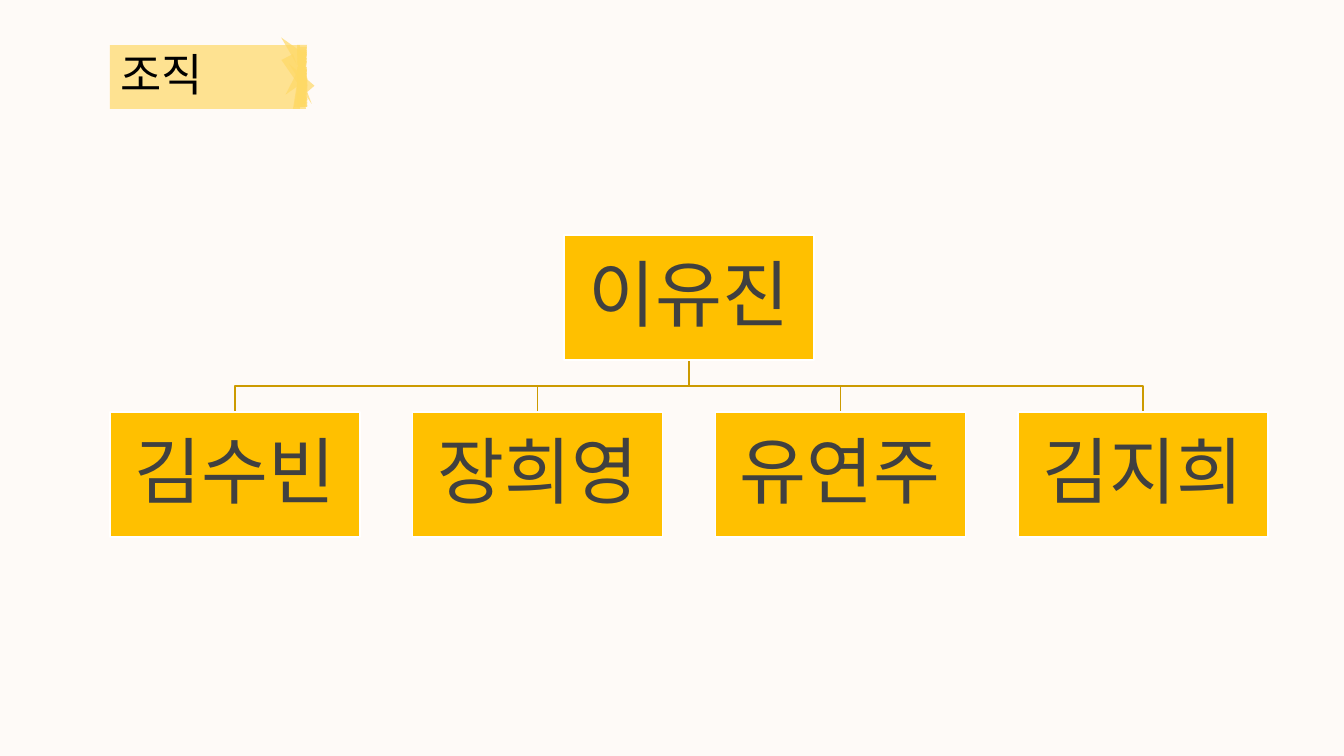
from dataclasses import dataclass

from lxml import etree
from pptx import Presentation
from pptx.dml.color import RGBColor
from pptx.enum.shapes import MSO_SHAPE
from pptx.enum.text import MSO_ANCHOR, PP_ALIGN
from pptx.oxml.ns import qn
from pptx.util import Pt

RECT = MSO_SHAPE.RECTANGLE
TRIANGLE = MSO_SHAPE.ISOSCELES_TRIANGLE
MIDDLE = MSO_ANCHOR.MIDDLE
LEFT, CENTER = PP_ALIGN.LEFT, PP_ALIGN.CENTER
PX = 12192000 / 1344


@dataclass(frozen=True)
class Theme:
    """Colours, fonts and type sizes of the slide."""
    background: str = "FEFAF7"
    brush: str = "FFD966"
    brush_alpha: int = 70
    node: str = "FFC000"
    node_line: str = "FFFFFF"
    node_text: str = "404040"
    branch: str = "CC9A00"
    title_text: str = "000000"
    title_font: str = "Cabin"
    korean_font: str = "Noto Sans CJK KR"
    title_size: int = 32
    node_size: int = 52


THEME = Theme()
LEADER = "이유진"
MEMBERS = ["김수빈", "장희영", "유연주", "김지희"]

BRISTLES = [
    (184, 21, 13, 41, 0), (183, 23, 13, 41, 0), (183, 9, 13, 53, 152.4),
    (164, 5, 48, 11, 59.9), (185, 15, 10, 33, 319.2), (169, 28, 42, 11, 117.2),
]
BRISTLES += [(186, y, 10, 33, 354.4)
             for y in (29, 23, 26, 22, 17, 13, 11, 9, 8, 6, 4, 2)]
BRISTLES += [(187, y, 10, 33, 180)
             for y in (0, 2, 5, 7, 9, 13, 16, 22, 24, 28, 25)]


def px(n):
    """Turn px into EMU."""
    return round(n * PX)


def rgb(value):
    """Turn a hex string into a colour."""
    return RGBColor.from_string(value)


def add_box(s, kind, x, y, w, h, fill):
    """Add a flat filled shape without an outline."""
    sp = s.shapes.add_shape(kind, px(x), px(y), px(w), px(h))
    sp.shadow.inherit = False
    sp.fill.solid()
    sp.fill.fore_color.rgb = rgb(fill)
    sp.line.fill.background()
    return sp


def write(tf, text, font, size, color, align):
    """Write one paragraph in the middle of a text frame."""
    tf.word_wrap = True
    tf.vertical_anchor = MIDDLE
    p = tf.paragraphs[0]
    p.text = text
    p.alignment = align
    p.line_spacing = 0.9
    p.font.name = font
    p.font.size = Pt(size)
    p.font.color.rgb = rgb(color)
    props = p._p.pPr.find(qn("a:defRPr"))
    etree.SubElement(props, qn("a:ea")).set("typeface", THEME.korean_font)
    return p


def add_brush(s, x, y, w, h):
    """Paint the brush stroke with its frayed right end."""
    strokes = [(RECT, 0, 0, w, h, 0)]
    strokes += [(TRIANGLE, *bristle) for bristle in BRISTLES]
    for kind, dx, dy, sw, sh, angle in strokes:
        sp = add_box(s, kind, x + dx, y + dy, sw, sh, THEME.brush)
        sp.rotation = angle
        color = sp.fill._xPr.find(qn("a:solidFill"))[0]
        alpha = etree.SubElement(color, qn("a:alpha"))
        alpha.set("val", str(THEME.brush_alpha * 1000))


def add_title(s, x, y, w, h):
    """Place the title placeholder on top of the brush stroke."""
    title = s.shapes.title
    title.left, title.top, title.width, title.height = map(px, (x, y, w, h))
    write(title.text_frame, "조직", THEME.title_font, THEME.title_size,
          THEME.title_text, LEFT)
    title.element.getparent().append(title.element)


def add_node(s, name, x, y, w, h):
    """Add one person of the organisation chart."""
    sp = add_box(s, RECT, x, y, w, h, THEME.node)
    sp.line.color.rgb = rgb(THEME.node_line)
    sp.line.width = Pt(1)
    tf = sp.text_frame
    tf.margin_left = tf.margin_right = tf.margin_top = tf.margin_bottom = px(4)
    p = write(tf, name, THEME.korean_font, THEME.node_size, THEME.node_text,
              CENTER)
    p.space_after = Pt(18)


def add_branch(s, x1, y1, x2, y2):
    """Draw the elbow line from the leader to a member."""
    middle = (y1 + y2) / 2
    fb = s.shapes.build_freeform(px(x1), px(y1))
    fb.add_line_segments([(px(x1), px(middle)), (px(x2), px(middle)),
                          (px(x2), px(y2))], close=False)
    sp = fb.convert_to_shape()
    sp.shadow.inherit = False
    sp.fill.background()
    sp.line.color.rgb = rgb(THEME.branch)
    sp.line.width = Pt(1)


def add_organisation(s, x, y, w, h):
    """Lay out the leader above an evenly spaced row of members."""
    node_w, node_h = 250, 125
    pitch = (w - node_w) / (len(MEMBERS) - 1)
    leader_x = x + (w - node_w) / 2
    row_y = y + h - node_h
    lefts = [x + i * pitch for i in range(len(MEMBERS))]
    for left in reversed(lefts):
        add_branch(s, leader_x + node_w / 2, y + node_h,
                   left + node_w / 2, row_y)
    add_node(s, LEADER, leader_x, y, node_w, node_h)
    for name, left in zip(MEMBERS, lefts):
        add_node(s, name, left, row_y, node_w, node_h)


def main():
    """Build and save the organisation slide."""
    prs = Presentation()
    prs.slide_width, prs.slide_height = px(1344), px(756)
    s = prs.slides.add_slide(prs.slide_layouts[5])
    s.background.fill.solid()
    s.background.fill.fore_color.rgb = rgb(THEME.background)
    add_organisation(s, 110, 235, 1158, 302)
    add_brush(s, 110, 45, 190, 64)
    add_title(s, 110, 47, 149, 61)
    prs.save("out.pptx")


if __name__ == "__main__":
    main()
